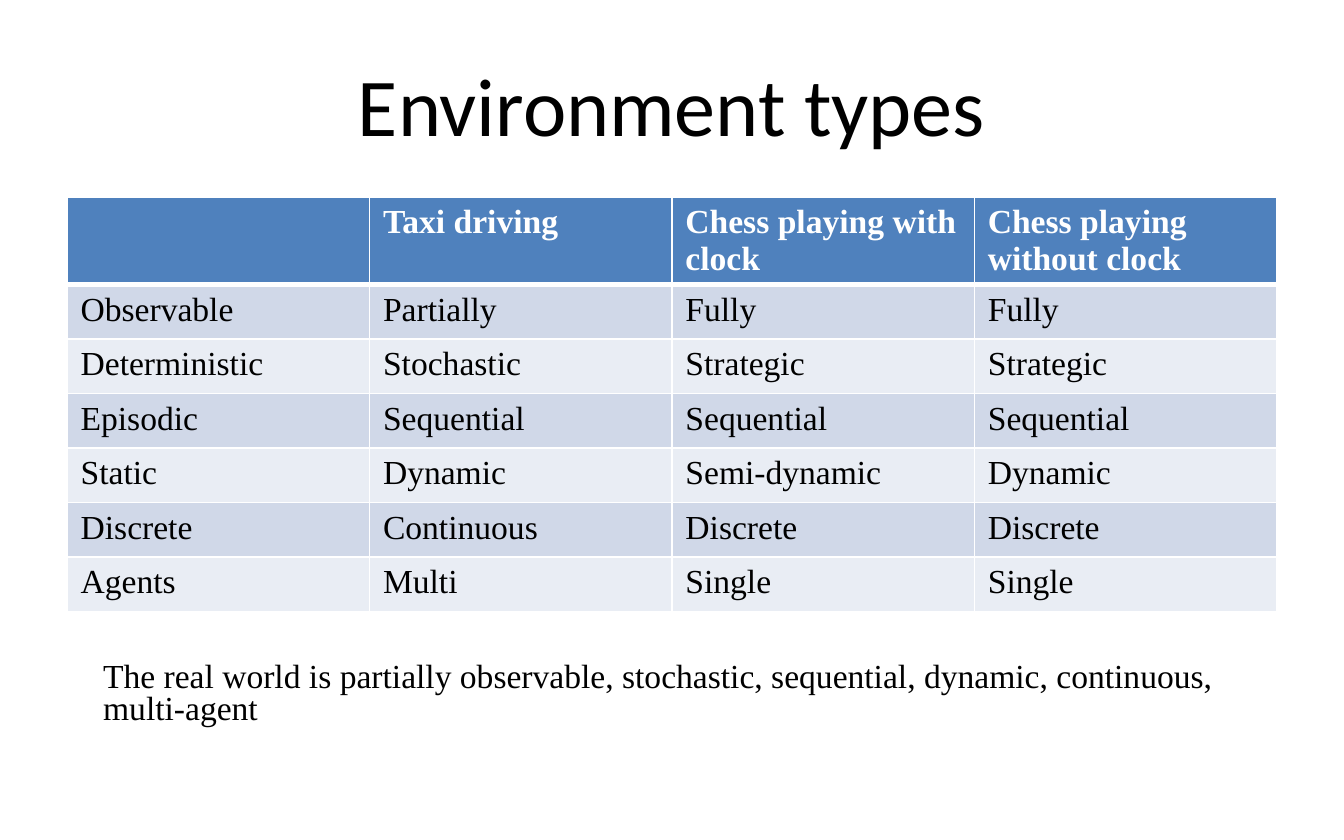
from lxml import etree
from pptx import Presentation, util as u
from pptx.dml.color import RGBColor
from pptx.enum import text as t
from pptx.oxml import ns

SERIF = "Times New Roman"


def color(code):
    return RGBColor.from_string(code)


def write(frame, words, code, para={}, **font):
    p = frame.paragraphs[0]
    for key, val in para.items():
        setattr(p, key, val)
    run = p.add_run()
    run.text = words
    for key, val in font.items():
        setattr(run.font, key, val)
    run.font.color.rgb = color(code)


deck = Presentation()
deck.slide_width, deck.slide_height = u.Cm(25.4), u.Cm(15.88)
slide = deck.slides.add_slide(deck.slide_layouts[6])

# Table of environments
rows = [
    ["", "Taxi driving", "Chess playing with clock", "Chess playing without clock"],
    ["Observable", "Partially", "Fully", "Fully"],
    ["Deterministic", "Stochastic", "Strategic", "Strategic"],
    ["Episodic", "Sequential", "Sequential", "Sequential"],
    ["Static", "Dynamic", "Semi-dynamic", "Dynamic"],
    ["Discrete", "Continuous", "Discrete", "Discrete"],
    ["Agents", "Multi", "Single", "Single"],
]
table = slide.shapes.add_table(len(rows), 4, u.Cm(1.27), u.Cm(3.72),
                               u.Cm(22.86), u.Cm(7.81)).table
for r, row in enumerate(rows):
    head = r == 0
    table.rows[r].height = u.Cm(1.63 if head else 1.03)
    fill = "4F81BD" if head else ("E9EDF4", "D0D8E8")[r % 2]
    for c, words in enumerate(row):
        cell = table.cell(r, c)
        # White borders, thick between the header and the body
        props = cell._tc.get_or_add_tcPr()
        for side in "LRTB":
            thick = (r, side) in [(0, "B"), (1, "T")]
            line = etree.SubElement(props, ns.qn("a:ln" + side),
                                    w=str(u.Pt(3 if thick else 1)))
            solid = etree.SubElement(line, ns.qn("a:solidFill"))
            etree.SubElement(solid, ns.qn("a:srgbClr"), val="FFFFFF")
        cell.fill.solid()
        cell.fill.fore_color.rgb = color(fill)
        if words:
            write(cell.text_frame, words, "FFFFFF" if head else "000000",
                  name=SERIF, size=u.Pt(18), bold=head)

# Title and closing note
texts = [
    ("Environment types", (1.27, 0.64, 22.86, 2.64), t.MSO_ANCHOR.MIDDLE,
     {"alignment": t.PP_ALIGN.CENTER}, {"name": "Calibri", "size": u.Pt(44)}),
    ("The real world is partially observable, stochastic, sequential, dynamic, "
     "continuous, multi-agent", (1.7, 12.4, 22.66, 1.5), t.MSO_ANCHOR.TOP,
     {"line_spacing": 0.8}, {"name": SERIF, "size": u.Pt(18)}),
]
for words, place, anchor, para, font in texts:
    frame = slide.shapes.add_textbox(*map(u.Cm, place)).text_frame
    for key, val in {"word_wrap": True, "vertical_anchor": anchor}.items():
        setattr(frame, key, val)
    write(frame, words, "000000", para, **font)

deck.save("out.pptx")
